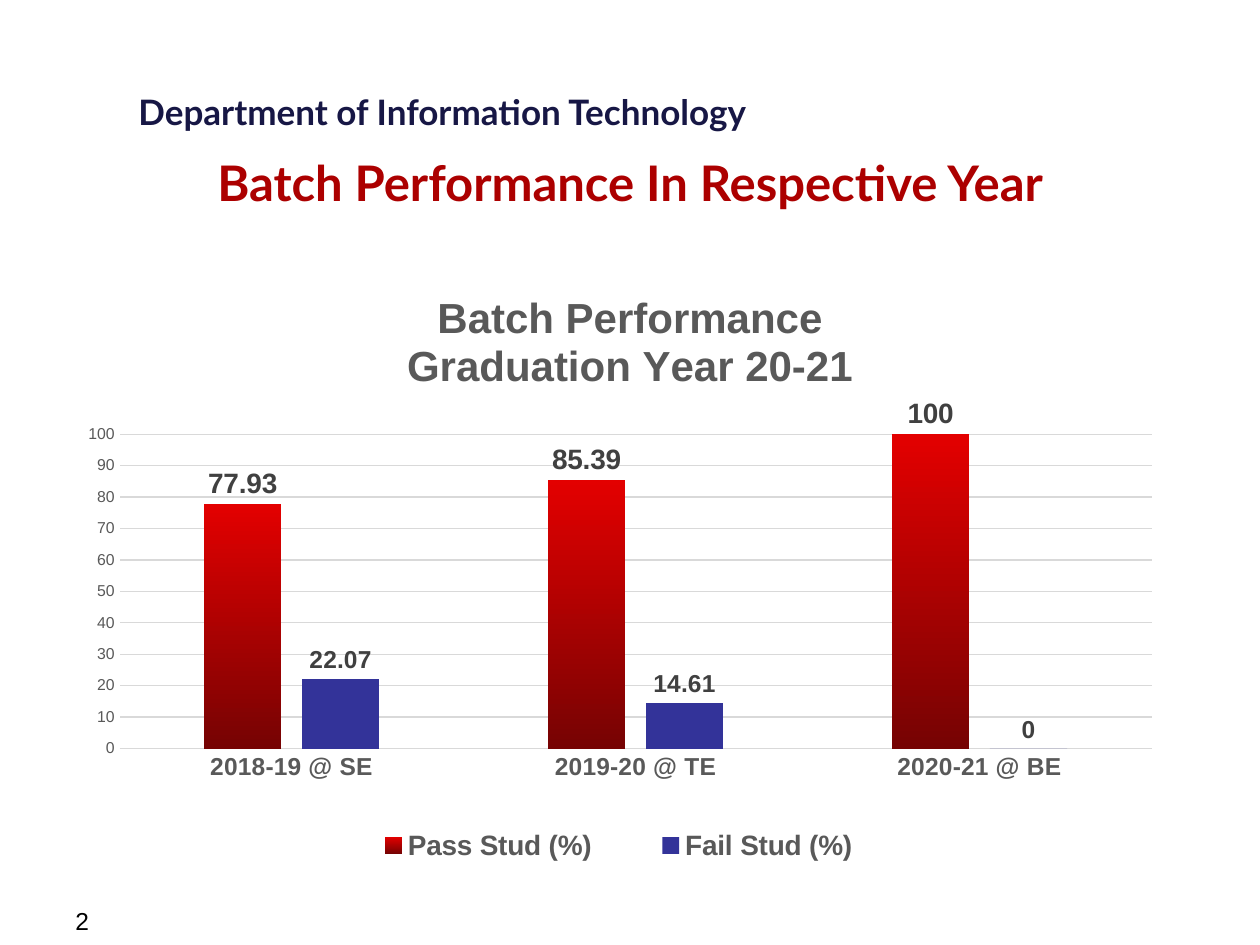
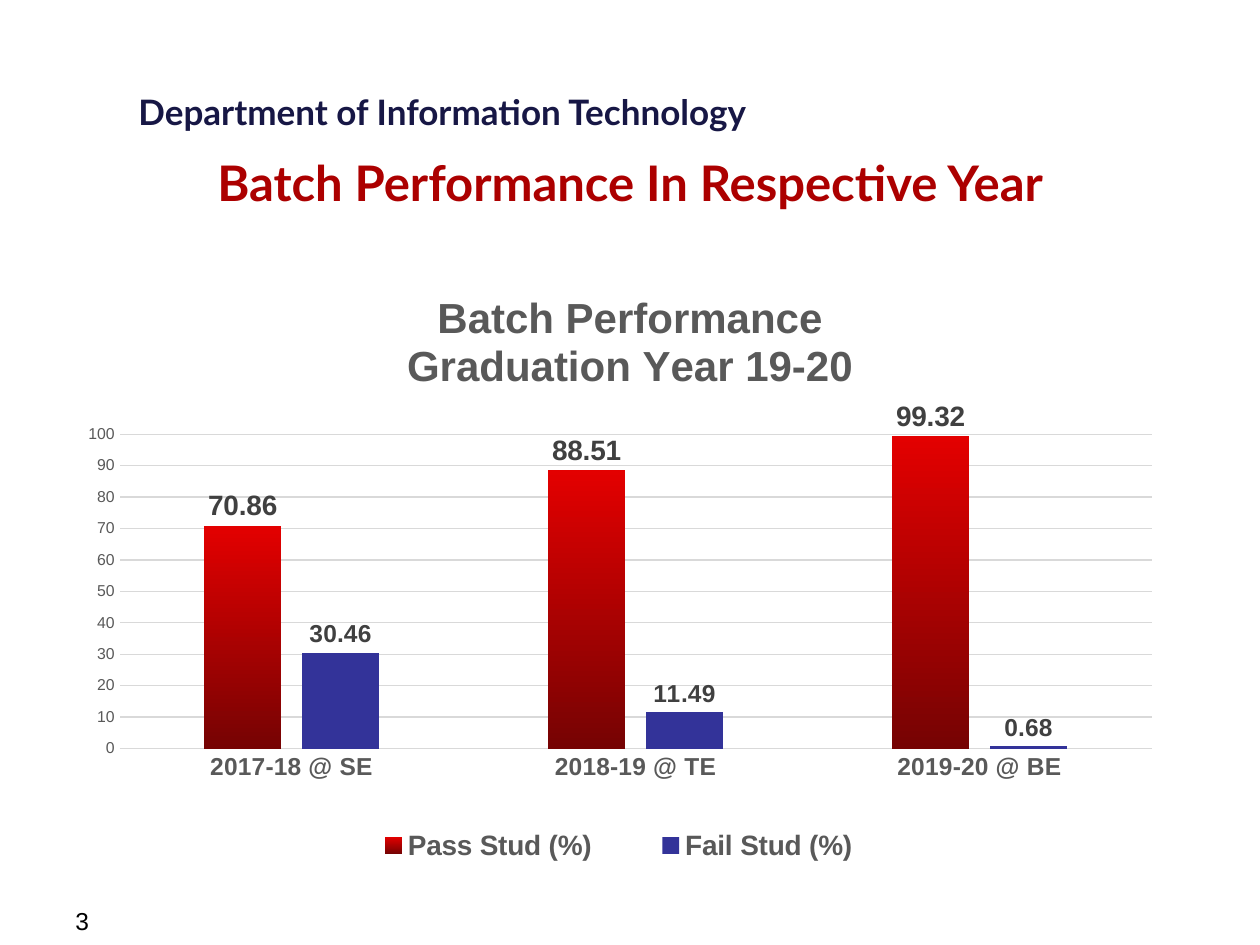
from lxml.etree import SubElement as Sub
from pptx import Presentation as Deck
from pptx.chart.data import CategoryChartData as Data
from pptx.dml.color import RGBColor as Color
from pptx.enum.chart import XL_CHART_TYPE as Kind
from pptx.enum.chart import XL_LABEL_POSITION as Spot
from pptx.enum.chart import XL_LEGEND_POSITION as Side
from pptx.enum.chart import XL_TICK_MARK as Tick
from pptx.enum.text import MSO_ANCHOR as Anchor
from pptx.enum.text import PP_ALIGN as Align
from pptx.oxml.ns import qn
from pptx.util import Inches, Pt

NAVY = Color(0x17, 0x17, 0x45)
MAROON = Color(0xAC, 0x00, 0x00)
BLACK = Color(0x00, 0x00, 0x00)
GREY = Color(0x59, 0x59, 0x59)
DARK = Color(0x40, 0x40, 0x40)
PALE = Color(0xD9, 0xD9, 0xD9)
BLUE = Color(0x33, 0x33, 0x99)
RED = Color(0xE3, 0x00, 0x00)
WINE = Color(0x76, 0x03, 0x03)

SERIF_FREE = "Arial"
HEAD = "Lato"
DEPT = "Department of Information Technology"
TITLE = "Batch Performance In Respective Year"
STAGES = ("SE", "TE", "BE")
BATCHES = (
    (2, 18, (77.93, 85.39, 100), (22.07, 14.61, 0)),
    (3, 17, (70.86, 88.51, 99.32), (30.46, 11.49, 0.68)),
)


def put(item, **form):
    for name, value in form.items():
        setattr(item, name, value)


def style(font, size, color, bold=False, name=SERIF_FREE):
    put(font, size=Pt(size), bold=bold, name=name)
    font.color.rgb = color


def place(item, left, top, width, height):
    put(item, left=Inches(left), top=Inches(top),
        width=Inches(width), height=Inches(height))


def add_text(slide, text, box, *look, wrap=True, **form):
    item = slide.shapes.add_textbox(*map(Inches, box))
    item.text_frame.word_wrap = wrap
    item.text_frame.text = text
    style(item.text_frame.paragraphs[0].runs[0].font, *look, **form)


def add_title(slide):
    item = slide.shapes.title
    place(item, 0.5, 1.2, 9, 0.48)
    frame = item.text_frame
    frame.text = TITLE
    put(frame, margin_top=0, margin_bottom=0, vertical_anchor=Anchor.MIDDLE)
    line = frame.paragraphs[0]
    line.alignment = Align.CENTER
    style(line.runs[0].font, 28, MAROON, True, HEAD)


def fix_area(node, index, box, inner=False):
    for old in node.findall(qn("c:layout")):
        node.remove(old)
    layout = node.makeelement(qn("c:layout"), {})
    node.insert(index, layout)
    manual = Sub(layout, qn("c:manualLayout"))
    if inner:
        Sub(manual, qn("c:layoutTarget"), val="inner")
    for side in "xy":
        Sub(manual, qn(f"c:{side}Mode"), val="edge")
    for side, value in zip("xywh", box):
        Sub(manual, qn(f"c:{side}"), val=str(value))


def set_line(line):
    line.color.rgb = PALE
    line.width = Pt(0.75)


def set_axes(chart):
    years, scale = chart.category_axis, chart.value_axis
    for axis in (years, scale):
        put(axis, major_tick_mark=Tick.NONE, minor_tick_mark=Tick.NONE)
    style(years.tick_labels.font, 14, GREY, True)
    style(scale.tick_labels.font, 9, GREY)
    put(scale, minimum_scale=0, maximum_scale=100, major_unit=10,
        has_major_gridlines=True)
    set_line(years.format.line)
    set_line(scale.major_gridlines.format.line)
    scale.format.line.fill.background()


def set_bars(chart):
    plot = chart.plots[0]
    put(plot, gap_width=219, overlap=-27, vary_by_categories=False)
    for bars, size in zip(plot.series, (16, 14)):
        bars.invert_if_negative = False
        labels = bars.data_labels
        put(labels, show_value=True, position=Spot.OUTSIDE_END)
        style(labels.font, size, DARK, True)
    passed, failed = (bars.format.fill for bars in plot.series)
    passed.gradient()
    passed.gradient_angle = 270
    for stop, color in zip(passed.gradient_stops, (RED, WINE)):
        stop.color.rgb = color
    failed.solid()
    failed.fore_color.rgb = BLUE


def set_head(chart, year):
    chart.has_title = True
    frame = chart.chart_title.text_frame
    frame.text = f"Batch Performance\nGraduation Year {year}-{year + 1}"
    for line in frame.paragraphs:
        style(line.runs[0].font, 24, GREY, True)


def set_legend(chart):
    chart.has_legend = True
    legend = chart.legend
    put(legend, position=Side.BOTTOM, include_in_layout=False)
    style(legend.font, 16, GREY, True)
    fix_area(legend._element, 1, (0.23, 0.91, 0.52, 0.08))


def add_bars(slide, start, passed, failed):
    data = Data()
    data.categories = [f"20{year}-{year + 1} @ {stage}"
                       for year, stage in enumerate(STAGES, start)]
    data.add_series("Pass Stud (%)", passed)
    data.add_series("Fail Stud (%)", failed)
    box = map(Inches, (0.5, 2.15, 9, 4.8))
    chart = slide.shapes.add_chart(Kind.COLUMN_CLUSTERED, *box, data).chart
    style(chart.font, 10, BLACK)
    set_head(chart, start + 2)
    set_axes(chart)
    set_bars(chart)
    set_legend(chart)
    area = chart._chartSpace.chart.plotArea
    fix_area(area, 0, (0.05, 0.27, 0.91, 0.52), inner=True)


def main():
    deck = Deck()
    put(deck, slide_width=Inches(10), slide_height=Inches(7.5))
    for number, start, passed, failed in BATCHES:
        slide = deck.slides.add_slide(deck.slide_layouts[5])
        add_text(slide, DEPT, (1, 0.67, 5.35, 0.44), 20, NAVY, True, HEAD,
                 wrap=False)
        add_title(slide)
        add_text(slide, str(number), (0.5, 7.14, 2.33, 0.27), 14, BLACK)
        add_bars(slide, start, passed, failed)
    deck.save("out.pptx")


if __name__ == "__main__":
    main()
